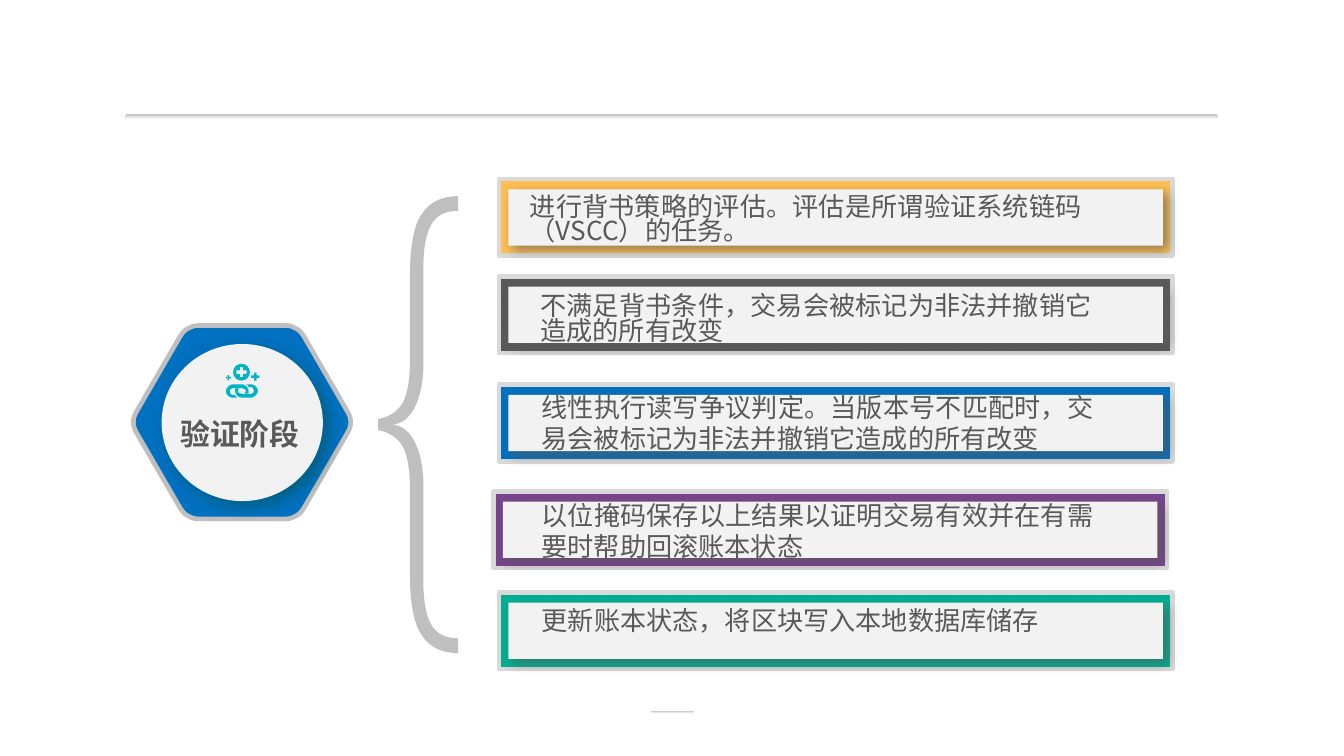
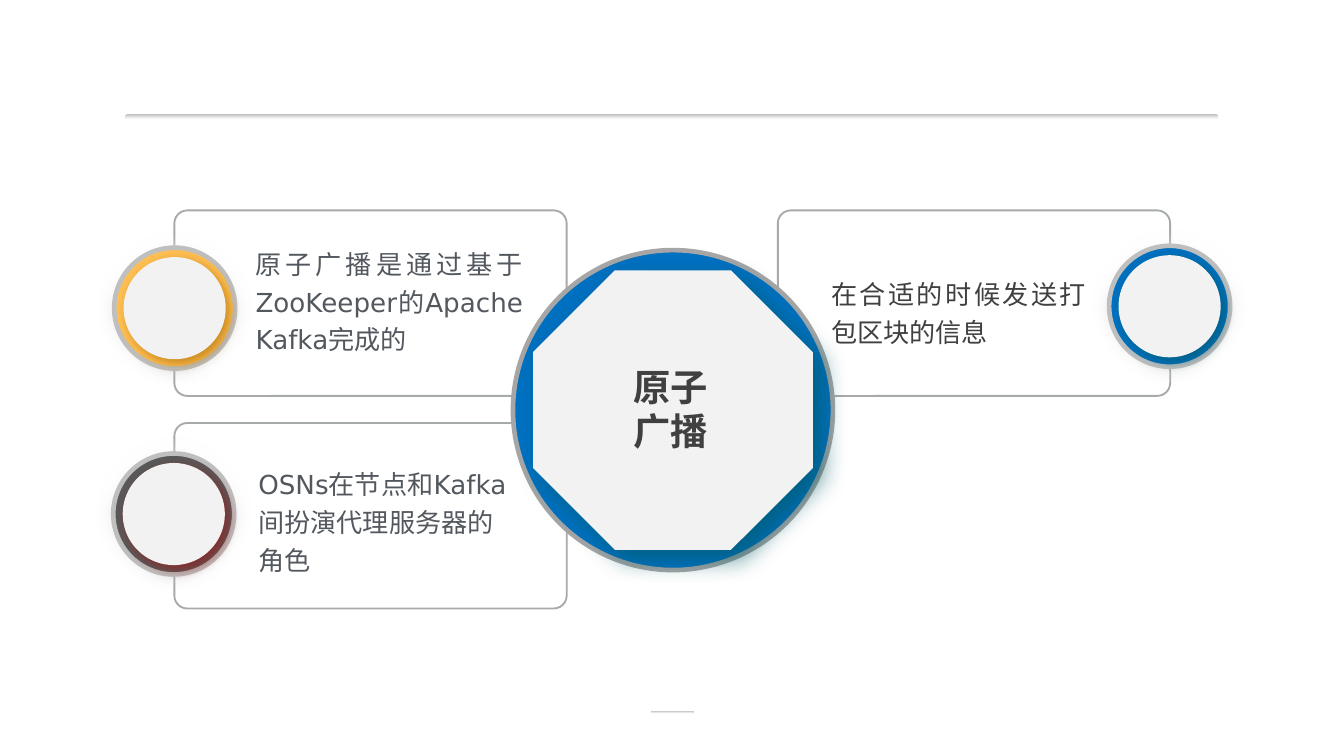
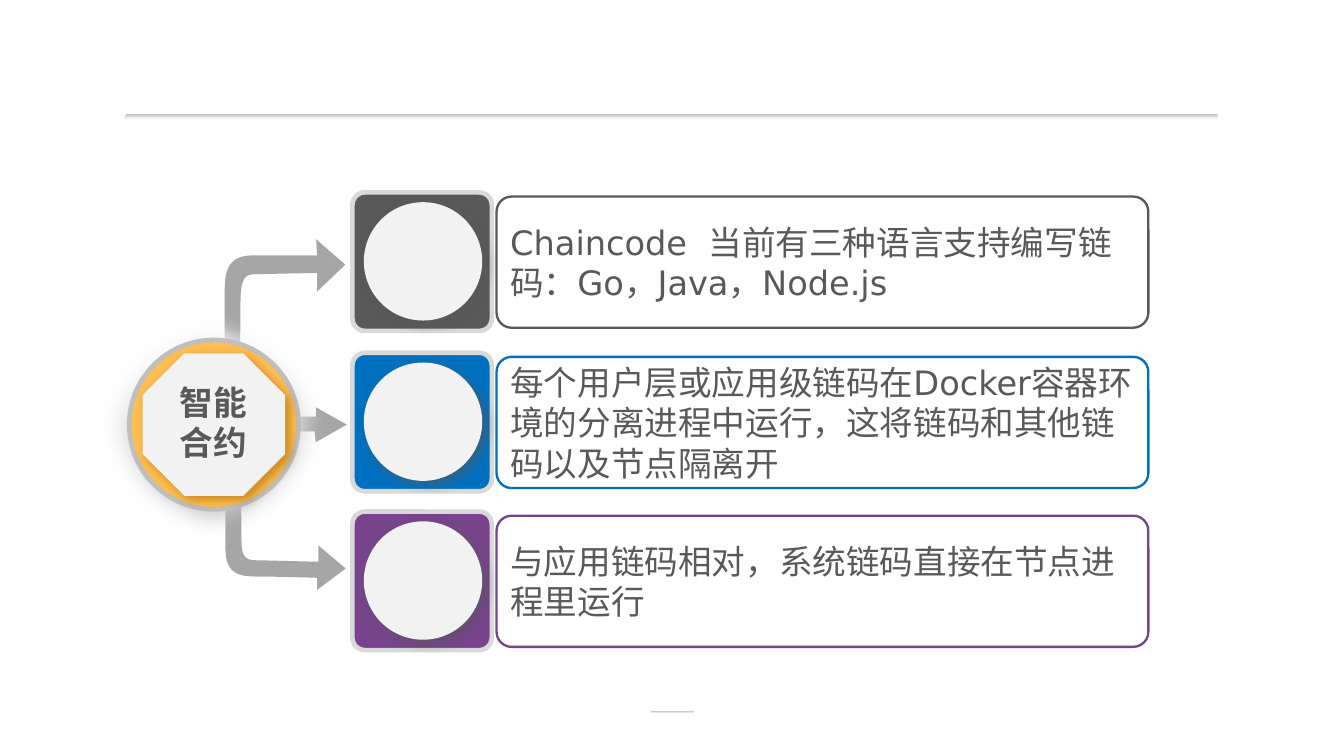
from dataclasses import dataclass
from typing import NamedTuple

from lxml.etree import SubElement
from pptx import Presentation
from pptx.dml.color import RGBColor
from pptx.enum.shapes import MSO_SHAPE
from pptx.enum.text import MSO_ANCHOR, PP_ALIGN
from pptx.oxml.ns import qn
from pptx.util import Pt

# Shared palette and fonts
AMBER, BLUE, PURPLE, GREEN = "FFBF53", "0070C0", "77448C", "00AF92"
INK, DARK, SLATE, TEAL = "595959", "404040", "53585F", "01B3C5"
FACE, PALE, SILVER, GRAY = "F2F2F2", "D9D9D9", "BFBFBF", "A6A6A6"
DEEP_TEAL, BROWN, RED = "005962", "A96A00", "A21011"
NOTO, DEJAVU, ADVENTOR = "Noto Sans CJK SC", "DejaVu Sans", "TeX Gyre Adventor"

OVAL, OCTAGON = MSO_SHAPE.OVAL, MSO_SHAPE.OCTAGON
ROUND, RECTANGLE = MSO_SHAPE.ROUNDED_RECTANGLE, MSO_SHAPE.RECTANGLE


class Box(NamedTuple):
    left: float
    top: float
    width: float
    height: float


class Node(NamedTuple):
    x: float
    y: float
    control: bool = False


class Shadow(NamedTuple):
    color: str
    blur: float = 6
    distance: float = 3


@dataclass
class TextStyle:
    size: float
    font: str
    color: str = INK
    bold: bool = False
    align: PP_ALIGN = PP_ALIGN.LEFT
    spacing: object = None
    insets: tuple[float, float] = (0, 0)
    wrap: bool = True
    anchor: MSO_ANCHOR = MSO_ANCHOR.TOP


@dataclass
class Bar:
    left: float
    top: float
    color: str
    text: str
    text_box: Box
    spacing: object = None


@dataclass
class Medallion:
    center: tuple[float, float]
    diameter: float
    face: float
    color: str
    shadow: Shadow
    halo: float = 0
    face_shape: MSO_SHAPE = OVAL
    rim: str = SILVER


@dataclass
class Note:
    frame: Box
    text_box: Box
    text: str
    style: TextStyle


@dataclass
class Step:
    top: float
    color: str
    text: str
    gap: float = 0


# Drawing helpers
def rgb(color: str) -> RGBColor:
    return RGBColor.from_string(color)


def finish(shape, fill=None, line=None, width=2.5, shadow=None, soft=0):
    """Set fill (hex, pair for a gradient, or None), line and effect."""
    shape.shadow.inherit = False
    if fill is None:
        shape.fill.background()
    elif isinstance(fill, tuple):
        shape.fill.gradient()
        shape.fill.gradient_angle = 270
        for stop, color in zip(shape.fill.gradient_stops, fill):
            stop.color.rgb = rgb(color)
    else:
        shape.fill.solid()
        shape.fill.fore_color.rgb = rgb(fill)
    if line:
        shape.line.color.rgb = rgb(line)
        shape.line.width = Pt(width)
    else:
        shape.line.fill.background()
    effects = shape._element.spPr.find(qn("a:effectLst"))
    if shadow:
        outer = SubElement(effects, qn("a:outerShdw"), blurRad=str(Pt(shadow.blur)),
                           dist=str(Pt(shadow.distance)), dir="2700000", algn="tl")
        color = SubElement(outer, qn("a:srgbClr"), val=shadow.color)
        SubElement(color, qn("a:alpha"), val="64000")
    if soft:
        SubElement(effects, qn("a:softEdge"), rad=str(Pt(soft)))
    return shape


def draw(page, kind: MSO_SHAPE, box: Box, corner=None, **look):
    shape = page.shapes.add_shape(kind, *map(Pt, box))
    if corner is not None:
        shape.adjustments[0] = corner
    return finish(shape, **look)


def centered(center: tuple[float, float], size: float) -> Box:
    return Box(center[0] - size / 2, center[1] - size / 2, size, size)


def trace(*steps: tuple) -> list[Node]:
    """Turn points (x, y) and cubic curves (six numbers) into nodes."""
    nodes = []
    for step in steps:
        nodes += [Node(*pair, True) for pair in zip(step[:-2:2], step[1:-2:2])]
        nodes.append(Node(*step[-2:]))
    return nodes


def mirror(nodes: list[Node], across_x: float = 0, across_y: float = 0) -> list[Node]:
    """Reflect nodes, in reverse order; each argument is twice the axis."""
    return [Node(across_x - n.x if across_x else n.x,
                 across_y - n.y if across_y else n.y, n.control) for n in reversed(nodes)]


def outline(page, *contours: list[Node], **look):
    """Draw closed contours, with control nodes bent into cubic curves."""
    first = contours[0][0]
    builder = page.shapes.build_freeform(Pt(first.x), Pt(first.y))
    for index, nodes in enumerate(contours):
        if index:
            builder.move_to(Pt(nodes[0].x), Pt(nodes[0].y))
        builder.add_line_segments([(Pt(n.x), Pt(n.y)) for n in nodes[1:]], close=True)
    shape = builder.convert_to_shape()
    path = next(shape._element.iter(qn("a:path")))
    parts = [part for part in path if part.tag != qn("a:close")]
    nodes = [node for contour in contours for node in contour]
    curve = None
    for node, part in zip(nodes, parts):
        if node.control and curve is None:
            part.tag
            curve = SubElement(path, qn("a:cubicBezTo"))
            part.addprevious(curve)
        if curve is not None:
            curve.append(part[0])
            path.remove(part)
            if not node.control:
                curve = None
    return finish(shape, **look)


def write(shape, text: str, style: TextStyle, gap: float = 0):
    """Write one paragraph; gap widens its first space."""
    frame = shape.text_frame
    frame.word_wrap = style.wrap
    frame.vertical_anchor = style.anchor
    frame.margin_left = frame.margin_right = Pt(style.insets[0])
    frame.margin_top = frame.margin_bottom = Pt(style.insets[1])
    para = frame.paragraphs[0]
    for part in text.partition(" ") if gap else (text,):
        span = para.add_run()
        span.text = part
        if part == " ":
            span._r.get_or_add_rPr().set("spc", str(round(gap * 100)))
    para.alignment = style.align
    if style.spacing:
        para.line_spacing = style.spacing
    font = para.font
    font.size, font.bold, font.name = Pt(style.size), style.bold, style.font
    font.color.rgb = rgb(style.color)
    properties = para._p.pPr.find(qn("a:defRPr"))
    SubElement(properties, qn("a:ea"), typeface=NOTO)


def add_text(page, box: Box, text: str, style: TextStyle):
    write(page.shapes.add_textbox(*map(Pt, box)), text, style)


def add_medallion(page, item: Medallion):
    if item.halo:
        draw(page, OVAL, centered(item.center, item.halo), fill=("FFFFFF", SILVER), soft=12)
    draw(page, OVAL, centered(item.center, item.diameter), fill=item.color, line=item.rim)
    draw(page, item.face_shape, centered(item.center, item.face), fill=FACE,
         shadow=item.shadow)


def new_page(deck):
    """Add a blank page with the header rule and the footer mark."""
    page = deck.slides.add_slide(deck.slide_layouts[6])
    for box in (Box(67.2, 61.2, 585.4, 2.6), Box(348.6, 380.9, 23, 1.4)):
        draw(page, ROUND, box, corner=0.5, fill=(SILVER, "FFFFFF"))
    return page


# Page 1: validation phase
def add_chain_icon(page):
    link = trace(
        (134.6, 205.9), (131.8, 205.9), (132.5, 205.9, 133.2, 206.6, 133.2, 207.4),
        (134.6, 207.4), (135.4, 207.4, 136.1, 208.1, 136.1, 209.5),
        (136.1, 210.2, 135.4, 211, 134.6, 211), (129.6, 211),
        (128.2, 211, 127.4, 210.2, 127.4, 209.5), (128.2, 208.1), (126, 208.1),
        (126, 209.5), (126, 211, 127.4, 213.1, 129.6, 213.1), (134.6, 213.1),
        (136.1, 213.1, 138.2, 211, 138.2, 209.5), (138.2, 207.4, 136.1, 205.9, 134.6, 205.9))
    outline(page, link, fill=TEAL)
    outline(page, mirror(link, 259.2, 419), fill=TEAL)

    # Round badge with a plus cut out
    x, y, radius, bend, arm, stroke = 129.4, 199.4, 4.5, 2.5, 2.7, 0.9
    quarter = trace((x, y - radius), (x + bend, y - radius, x + radius, y - bend, x + radius, y))
    right = quarter + mirror(quarter, across_y=2 * y)[1:]
    corner = trace((x + stroke, y - arm), (x + stroke, y - stroke), (x + arm, y - stroke))
    side = corner + mirror(corner, across_y=2 * y)
    outline(page, right + mirror(right, across_x=2 * x)[1:],
            mirror(side + mirror(side, across_x=2 * x)), fill=TEAL)

    for x, y, size, stroke in ((136.8, 201.8, 4.4, 1.4), (122.4, 202.4, 2.8, 0.8)):
        draw(page, RECTANGLE, Box(x - stroke / 2, y - size / 2, stroke, size), fill=TEAL)
        draw(page, RECTANGLE, Box(x - size / 2, y - stroke / 2, size, stroke), fill=TEAL)


def build_validation(deck):
    page = new_page(deck)
    # Brace: upper half, then its mirror
    half = trace(
        (202.5, 224.6), (209.5, 223.2, 213.8, 219.6, 216, 215.3),
        (218.2, 211, 219.6, 203.8, 219.6, 193.7), (219.6, 147.6),
        (219.6, 131.8, 221.8, 120.2, 226.1, 114.5), (230.4, 108, 236.9, 105.1, 245.5, 105.1),
        (245.5, 113), (239, 113, 234, 115.2, 231.1, 120.2),
        (228.2, 125.3, 226.8, 133.2, 226.8, 143.3), (226.8, 195.8),
        (226.8, 210.2, 221.8, 227.5, 209.5, 227.5))
    outline(page, half + mirror(half, across_y=455), fill=SILVER)

    # Rounded hexagon: one quarter, mirrored twice
    quarter = trace((153.4, 174.4), (157, 174.4, 161.3, 177.1, 162.7, 180),
                    (186.5, 221), (187.4, 222.5, 187.9, 224.2, 187.9, 226.2))
    right = quarter + mirror(quarter, across_y=452.4)[1:]
    outline(page, right + mirror(right, across_x=259.4), fill=BLUE, line=SILVER)
    draw(page, OVAL, Box(86.6, 184.3, 86.4, 84.2), fill=FACE, shadow=Shadow(DEEP_TEAL, 8, 4))
    add_text(page, Box(90.7, 219.9, 75.6, 25.2), "验证阶段",
             TextStyle(16, ADVENTOR, bold=True, align=PP_ALIGN.CENTER,
                       insets=(5, 2.9), wrap=False))
    add_chain_icon(page)

    # Framed statements
    tight = Pt(13)
    bars = [
        Bar(267.4, 96, AMBER, "进行背书策略的评估。评估是所谓验证系统链码（VSCC）的任务。",
            Box(283.8, 105.6, 295.9, 26.6), tight),
        Bar(267.4, 148.1, INK, "不满足背书条件，交易会被标记为非法并撤销它造成的所有改变",
            Box(289.5, 159.1, 295.6, 26.6), tight),
        Bar(267.4, 206.1, BLUE,
            "线性执行读写争议判定。当版本号不匹配时，交易会被标记为非法并撤销它造成的所有改变",
            Box(290.1, 209.7, 295.9, 33.8)),
        Bar(264.4, 263.3, PURPLE, "以位掩码保存以上结果以证明交易有效并在有需要时帮助回滚账本状态",
            Box(290.1, 267.3, 295.9, 33.8)),
        Bar(267.4, 317.4, GREEN, "更新账本状态，将区块写入本地数据库储存",
            Box(290.2, 327.8, 321.8, 13), tight),
    ]
    for bar in bars:
        draw(page, ROUND, Box(bar.left, bar.top, 360.7, 41), corner=0, fill=bar.color, line=PALE)
        draw(page, ROUND, Box(bar.left + 5, bar.top + 5.4, 350.6, 30.2), corner=0,
             fill=FACE, shadow=Shadow(INK))
    for bar in bars:
        add_text(page, bar.text_box, bar.text,
                 TextStyle(14, NOTO, align=PP_ALIGN.JUSTIFY, spacing=bar.spacing))


# Page 2: atomic broadcast
def build_broadcast(deck):
    page = new_page(deck)
    justify = PP_ALIGN.JUSTIFY
    notes = [
        Note(Box(416.7, 112.7, 210.2, 99.4), Box(445.2, 145.9, 136.8, 30.2),
             "在合适的时候发送打包区块的信息",
             TextStyle(14, NOTO, DARK, align=justify, spacing=1.2)),
        Note(Box(93.4, 226.6, 210.2, 99.4), Box(138.4, 247.8, 136.8, 28.8),
             "OSNs在节点和Kafka间扮演代理服务器的角色",
             TextStyle(14, DEJAVU, SLATE, spacing=1.2)),
        Note(Box(93.4, 112.7, 210.2, 99.4), Box(136.9, 129.7, 143.3, 30.2),
             "原子广播是通过基于ZooKeeper的Apache Kafka完成的",
             TextStyle(14, DEJAVU, SLATE, align=justify, spacing=1.2)),
    ]
    for note in notes:
        draw(page, ROUND, note.frame, corner=0.07, line="A6AAA9", width=1)
    for note in reversed(notes):
        add_text(page, note.text_box, note.text, note.style)

    add_medallion(page, Medallion((360.5, 219.7), 171.4, 149.8, BLUE,
                                  Shadow(DEEP_TEAL, 13, 7), face_shape=OCTAGON, rim=GRAY))
    add_text(page, Box(328.8, 191.4, 61.2, 55.4), "原子广播",
             TextStyle(20, NOTO, DARK, True, PP_ALIGN.CENTER, insets=(7.2, 3.6)))
    for center, color, shade in (((93.6, 165.1), AMBER, BROWN), ((93.1, 275.4), INK, RED),
                                 ((626.6, 164.1), BLUE, DEEP_TEAL)):
        add_medallion(page, Medallion(center, 64.8, 54.7, color, Shadow(shade), halo=90))


# Page 3: smart contracts
def build_contracts(deck):
    page = new_page(deck)
    # Arrows from the hub: down, straight, up
    arrows = [
        trace((128.9, 236.9), (129.4, 290.2), (129.4, 300.2, 133.2, 300.2, 139, 300.2),
              (170.6, 301), (170.6, 292.3), (185.2, 304.6), (169.9, 316.1), (169.9, 309.6),
              (169.9, 309.6, 149, 308.9, 136.8, 308.9),
              (124.6, 308.9, 120.8, 304.6, 120.8, 293.8), (120.8, 236.2),
              (121.7, 226.8, 126.7, 227.5, 128.9, 236.9)),
        trace((108.7, 231.8), (168.5, 231.1), (169.2, 236.9), (185.8, 227.5),
              (169.2, 218.2), (169.2, 223.2), (108.7, 223.9)),
        trace((128.4, 220.3), (128.9, 158.4), (129.6, 146.9, 132.5, 146.9, 138.2, 146.9),
              (169.9, 146.2), (169.9, 156.2), (185, 141.8), (169.4, 128.2), (169.9, 136.8),
              (169.9, 136.8, 148.3, 136.8, 136.1, 136.8),
              (124.6, 136.8, 120.4, 141.8, 120.4, 154.8), (120.4, 221.8),
              (121.7, 232.6, 126.7, 231.1, 128.4, 220.3)),
    ]
    for arrow in arrows:
        outline(page, arrow, fill=GRAY)

    steps = [
        Step(105.3, INK, "Chaincode 当前有三种语言支持编写链码：Go，Java，Node.js", gap=5.7),
        Step(191.2, BLUE,
             "每个用户层或应用级链码在Docker容器环境的分离进程中运行，这将链码和其他链码以及节点隔离开"),
        Step(276.3, PURPLE, "与应用链码相对，系统链码直接在节点进程里运行"),
    ]
    body = TextStyle(18, DEJAVU, insets=(5, 2.2), anchor=MSO_ANCHOR.MIDDLE)
    for step in steps:
        panel = draw(page, ROUND, Box(266, step.top, 349.2, 70.3), corner=0.115,
                     line=step.color, width=1.25)
        write(panel, step.text, body, step.gap)

    add_medallion(page, Medallion((114.6, 227.5), 90.7, 76.3, AMBER, Shadow(BROWN),
                                  halo=125.3, face_shape=OCTAGON))
    add_text(page, Box(81.6, 200.9, 65.5, 51.1), "智能合约",
             TextStyle(18, "Arial", bold=True, align=PP_ALIGN.CENTER, insets=(7.2, 3.6)))
    for step in steps:
        draw(page, ROUND, Box(188.8, step.top - 2.2, 74.7, 74.2), corner=0.09,
             fill=step.color, line=PALE)
        draw(page, OVAL, Box(194.9, step.top + 3, 63.4, 63.4), fill=FACE, shadow=Shadow(INK))


def main():
    deck = Presentation()
    deck.slide_width, deck.slide_height = Pt(720), Pt(405)
    build_validation(deck)
    build_broadcast(deck)
    build_contracts(deck)
    deck.save("out.pptx")


if __name__ == "__main__":
    main()
